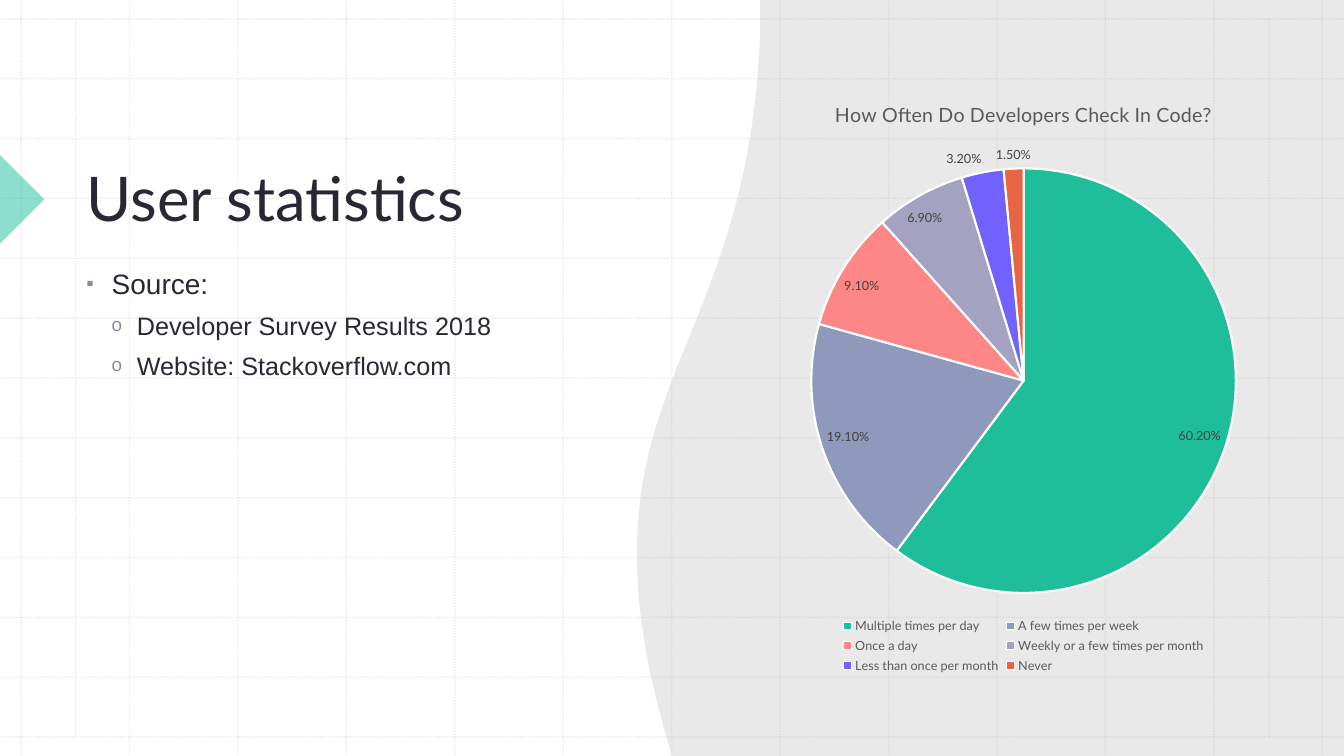
from lxml import etree
from pptx import Presentation
from pptx import util as u
from pptx.chart import data
from pptx.dml import color
from pptx.enum import chart as charts, dml, shapes, text
from pptx.oxml import ns

Pt = u.Pt
WIDTH, HEIGHT = 960, 540
COLOURS = {
    "wave": "E9E9E9", "grid": "BCBCBC", "accent": "1EBE9B", "ink": "2A2735",
    "bullet": "8D87A6", "white": "FFFFFF", "legend": "595959", "label": "404040",
}
LEVELS = [
    {"size": 20, "char": "▪", "margin": 18, "before": 10},
    {"size": 18, "char": "o", "margin": 36, "before": 5},
]
BODY = [
    (0, "Source:"),
    (1, "Developer Survey Results 2018"),
    (1, "Website: Stackoverflow.com"),
]
CHECK_INS = [
    ("Multiple times per day", 0.602, "1EBE9B"),
    ("A few times per week", 0.191, "8F99BB"),
    ("Once a day", 0.091, "FD8686"),
    ("Weekly or a few times per month", 0.069, "A3A3C1"),
    ("Less than once per month", 0.032, "7162FE"),
    ("Never", 0.015, "E76445"),
]


def rgb(name):
    return color.RGBColor.from_string(COLOURS.get(name, name))


def style_font(font, colour, **values):
    for key, value in values.items():
        setattr(font, key, value)
    font.color.rgb = rgb(colour)


def add_element(parent, tag, **attributes):
    return etree.SubElement(parent, ns.qn(tag), attributes)


def set_opacity(fill_owner, percent):
    for colour in fill_owner.iter(ns.qn("a:srgbClr")):
        add_element(colour, "a:alpha", val=str(percent * 1000))


def fill_plain(shape, colour):
    shape.shadow.inherit = False
    shape.fill.solid()
    shape.fill.fore_color.rgb = rgb(colour)
    shape.line.fill.background()


def bezier(start, first, second, end, steps=40):
    """Points along a cubic curve, without its start."""
    for step in range(1, steps + 1):
        t = step / steps
        weights = ((1 - t) ** 3, 3 * t * (1 - t) ** 2, 3 * t * t * (1 - t), t ** 3)
        yield tuple(
            sum(w * p for w, p in zip(weights, axis))
            for axis in zip(start, first, second, end)
        )


def add_wave(slide):
    low, middle, high = (473, 515.5), (455, 396), (543, 24.5)
    edge = [
        low,
        *bezier(low, (460, 468), (455, 430), middle),
        *bezier(middle, (454.3, 263), (535.7, 214.5), high),
        (543, 0), (WIDTH, 0), (WIDTH, HEIGHT),
    ]
    builder = slide.shapes.build_freeform(Pt(480), Pt(HEIGHT))
    builder.add_line_segments([(Pt(x), Pt(y)) for x, y in edge], close=True)
    fill_plain(builder.convert_to_shape(), "wave")


def add_grid_line(slide, *ends):
    line = slide.shapes.add_connector(
        shapes.MSO_CONNECTOR.STRAIGHT, *(Pt(end) for end in ends))
    line.line.width = Pt(1)
    line.line.color.rgb = rgb("grid")
    line.line.dash_style = dml.MSO_LINE.ROUND_DOT
    set_opacity(line.line._ln, 30)
    add_element(line._element.spPr, "a:effectLst")


def add_grid(slide):
    for index in range(13):
        x, y = 15.1 + 77.45 * index, 13.5 + 42.75 * index
        add_grid_line(slide, x, 0, x, HEIGHT)
        add_grid_line(slide, 0, y, WIDTH, y)
    for x in (54, 906.5):
        add_grid_line(slide, x, 13.5, x, 526.5)


def add_marker(slide):
    marker = slide.shapes.add_shape(
        shapes.MSO_SHAPE.RIGHT_TRIANGLE, Pt(-22.4), Pt(120), Pt(44.8), Pt(44.8))
    marker.rotation = 225
    fill_plain(marker, "accent")
    set_opacity(marker._element.spPr, 50)


def add_text_box(slide, left, top, width, height, anchor):
    box = slide.shapes.add_textbox(Pt(left), Pt(top), Pt(width), Pt(height))
    box.text_frame.word_wrap = True
    box.text_frame.vertical_anchor = anchor
    return box.text_frame


def add_span(para, words, size, font):
    span = para.add_run()
    span.text = words
    style_font(span.font, "ink", size=Pt(size), name=font)


def add_bullet(para, char, margin):
    props = para._p.get_or_add_pPr()
    props.set("marL", str(Pt(margin)))
    props.set("indent", str(Pt(-18)))
    add_element(add_element(props, "a:buClr"), "a:srgbClr", val=COLOURS["bullet"])
    add_element(props, "a:buSzPct", val="75000")
    add_element(props, "a:buFont", typeface="Arial")
    add_element(props, "a:buChar", char=char)


def add_body(slide):
    frame = add_text_box(slide, 54.7, 184.3, 348.5, 299, text.MSO_ANCHOR.TOP)
    for index, (depth, words) in enumerate(BODY):
        level = LEVELS[depth]
        para = frame.add_paragraph() if index else frame.paragraphs[0]
        add_bullet(para, level["char"], level["margin"])
        para.level = depth
        para.line_spacing = 1.1
        if index:
            para.space_before = Pt(level["before"])
        add_span(para, words, level["size"], "Arial")


def add_pie(slide):
    names, shares, fills = zip(*CHECK_INS)
    values = data.CategoryChartData(number_format="0.00%")
    values.categories = names
    values.add_series("Series 1", shares)
    chart = slide.shapes.add_chart(
        charts.XL_CHART_TYPE.PIE, Pt(558), Pt(56.9), Pt(346.3), Pt(427), values).chart
    style_font(chart.font, "000000", size=Pt(10), name="Lato")

    chart.has_title = True
    title = chart.chart_title.text_frame
    title.text = "How Often Do Developers Check In Code?"
    style_font(title.paragraphs[0].runs[0].font, "legend",
               size=Pt(14), name="Lato", bold=False)

    chart.has_legend = True
    chart.legend.position = charts.XL_LEGEND_POSITION.BOTTOM
    chart.legend.include_in_layout = False
    style_font(chart.legend.font, "legend", size=Pt(9), name="Lato")

    plot = chart.plots[0]
    plot.vary_by_categories = True
    plot.has_data_labels = True
    label_format = {
        "show_value": True, "show_percentage": False,
        "number_format": "0.00%", "number_format_is_linked": False,
        "position": charts.XL_LABEL_POSITION.BEST_FIT,
    }
    for key, value in label_format.items():
        setattr(plot.data_labels, key, value)
    style_font(plot.data_labels.font, "label", size=Pt(9), name="Lato")

    for index, fill in enumerate(fills):
        wedge = plot.series[0].points[index].format
        wedge.fill.solid()
        wedge.fill.fore_color.rgb = rgb(fill)
        wedge.line.color.rgb = rgb("white")
        wedge.line.width = Pt(1.5)


def main():
    deck = Presentation()
    deck.slide_width, deck.slide_height = Pt(WIDTH), Pt(HEIGHT)
    slide = deck.slides.add_slide(deck.slide_layouts[6])
    add_wave(slide)
    add_grid(slide)
    add_marker(slide)
    heading = add_text_box(slide, 54.7, 56.9, 425.5, 113.8, text.MSO_ANCHOR.BOTTOM)
    add_span(heading.paragraphs[0], "User statistics", 44, "Lato")
    add_body(slide)
    add_pie(slide)
    deck.save("out.pptx")


if __name__ == "__main__":
    main()
